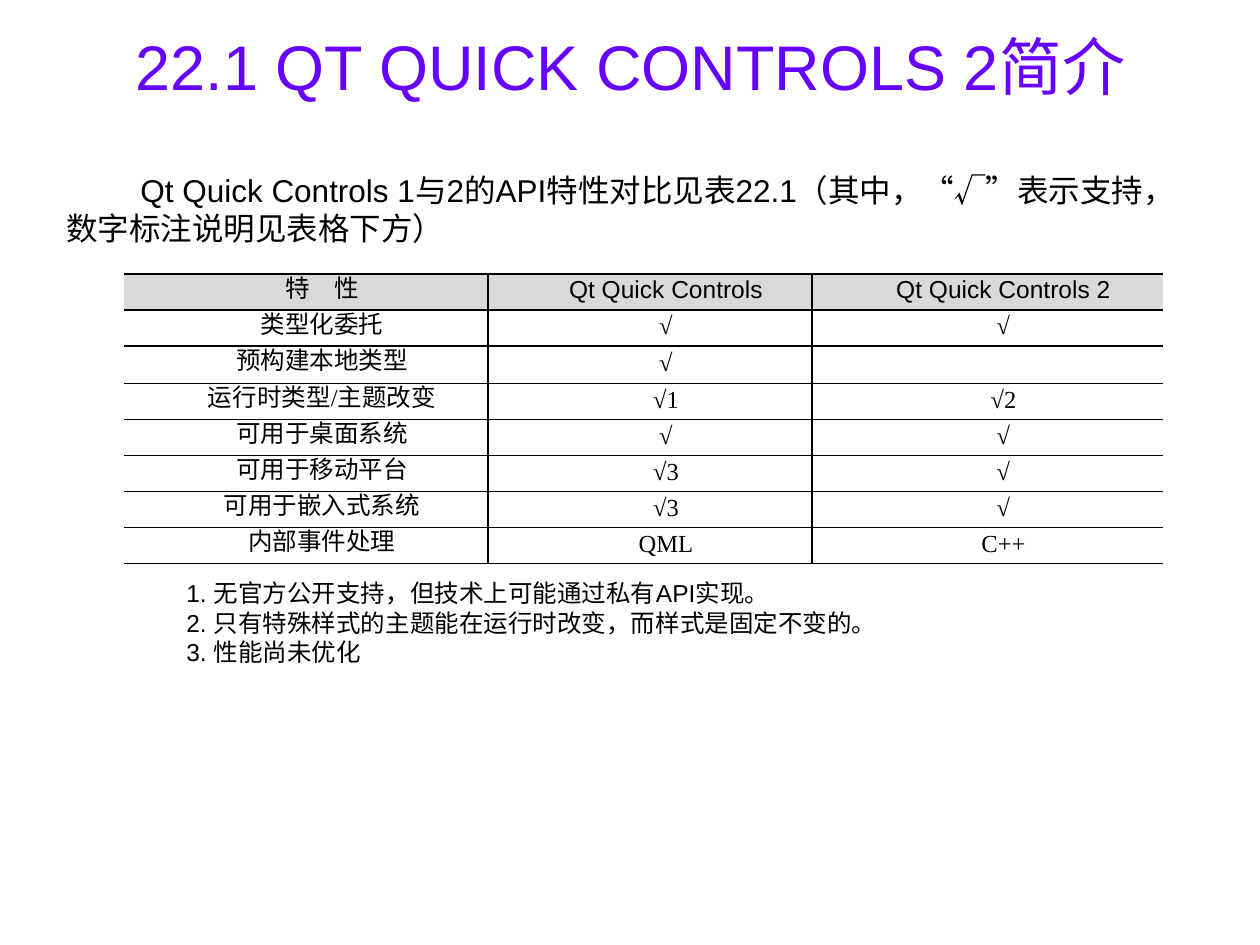
from dataclasses import dataclass

import pptx
import pptx.dml.color
import pptx.enum.lang
import pptx.enum.text
import pptx.oxml
import pptx.oxml.ns
import pptx.util
from lxml import etree

PX_PER_INCH = 126


def px(n: int) -> pptx.util.Emu:
    return pptx.util.Emu(round(n * 914400 / PX_PER_INCH))


@dataclass(frozen=True)
class Theme:
    black: str = "000000"
    title_color: str = "6600FF"
    header_fill: str = "D9D9D9"
    sans: str = "Arial"
    serif: str = "Times New Roman"
    title_size: int = 36
    body_size: int = 18
    small_size: int = 14
    title_outline: float = 0.71
    border: float = 1


@dataclass(frozen=True)
class Box:
    left: int
    top: int
    width: int
    height: int

    def emu(self) -> tuple:
        return px(self.left), px(self.top), px(self.width), px(self.height)


@dataclass(frozen=True)
class Feature:
    name: str
    controls_1: str
    controls_2: str


THEME = Theme()
TITLE = "22.1 QT QUICK CONTROLS 2简介"
INTRO = "Qt Quick Controls 1与2的API特性对比见表22.1（其中，“√”表示支持，数字标注说明见表格下方）"
FEATURES = [
    Feature("特　性", "Qt Quick Controls", "Qt Quick Controls 2"),
    Feature("类型化委托", "√", "√"),
    Feature("预构建本地类型", "√", ""),
    Feature("运行时类型/主题改变", "√1", "√2"),
    Feature("可用于桌面系统", "√", "√"),
    Feature("可用于移动平台", "√3", "√"),
    Feature("可用于嵌入式系统", "√3", "√"),
    Feature("内部事件处理", "QML", "C++"),
]
NOTES = [
    "1. 无官方公开支持，但技术上可能通过私有API实现。",
    "2. 只有特殊样式的主题能在运行时改变，而样式是固定不变的。",
    "3. 性能尚未优化",
]
COLUMN_WIDTHS = [364, 324, 351]
ROW_HEIGHT = 36


def add_line(parent, tag: str, width: float, color: str | None) -> etree.ElementBase:
    ln = etree.SubElement(parent, pptx.oxml.ns.qn(tag), w=str(pptx.util.Pt(width)))
    if color is None:
        etree.SubElement(ln, pptx.oxml.ns.qn("a:noFill"))
    else:
        fill = etree.SubElement(ln, pptx.oxml.ns.qn("a:solidFill"))
        etree.SubElement(fill, pptx.oxml.ns.qn("a:srgbClr"), val=color)
    return ln


def format_runs(p, size: int, font: str, color: str = THEME.black) -> None:
    for r in p.runs:
        r.font.size = pptx.util.Pt(size)
        r.font.name = font
        r.font.color.rgb = pptx.dml.color.RGBColor.from_string(color)
        r.font.language_id = pptx.enum.lang.MSO_LANGUAGE_ID.SIMPLIFIED_CHINESE


def set_first_line_indent(p, indent: int) -> None:
    pPr = p._p.get_or_add_pPr()
    pPr.set("marL", "0")
    pPr.set("indent", str(px(indent)))


def add_title(s, box: Box) -> None:
    sp = s.shapes.title
    sp.left, sp.top, sp.width, sp.height = box.emu()
    tf = sp.text_frame
    tf.text = TITLE
    tf.vertical_anchor = pptx.enum.text.MSO_ANCHOR.MIDDLE
    p = tf.paragraphs[0]
    p.alignment = pptx.enum.text.PP_ALIGN.CENTER
    format_runs(p, THEME.title_size, THEME.sans, THEME.title_color)
    rPr = p.runs[0].font._element
    rPr.insert(0, add_line(rPr, "a:ln", THEME.title_outline, THEME.title_color))


def add_text(s, box: Box, lines: list[str], size: int, indent: int = 0) -> None:
    tf = s.shapes.add_textbox(*box.emu()).text_frame
    tf.word_wrap = True
    tf.text = "\n".join(lines)
    for p in tf.paragraphs:
        set_first_line_indent(p, indent)
        format_runs(p, size, THEME.sans)


def format_cell(cell, text: str, header: bool, first: bool, last: bool) -> None:
    cell.margin_left = cell.margin_right = px(9)
    cell.margin_top = cell.margin_bottom = 0
    cell.vertical_anchor = pptx.enum.text.MSO_ANCHOR.MIDDLE
    tcPr = cell._tc.get_or_add_tcPr()
    for side, open_side in (("L", first), ("R", last), ("T", False), ("B", False)):
        add_line(tcPr, f"a:ln{side}", THEME.border, None if open_side else THEME.black)
    if header:
        cell.fill.solid()
        cell.fill.fore_color.rgb = pptx.dml.color.RGBColor.from_string(THEME.header_fill)
    else:
        cell.fill.background()
    cell.text_frame.text = text
    p = cell.text_frame.paragraphs[0]
    p.alignment = pptx.enum.text.PP_ALIGN.CENTER
    p.line_spacing = pptx.util.Pt(THEME.small_size)
    set_first_line_indent(p, 32)
    format_runs(p, THEME.small_size, THEME.sans if header else THEME.serif)


def add_feature_table(s, left: int, top: int) -> None:
    box = Box(left, top, sum(COLUMN_WIDTHS), ROW_HEIGHT * len(FEATURES))
    table = s.shapes.add_table(len(FEATURES), len(COLUMN_WIDTHS), *box.emu()).table
    table.first_row = table.horz_banding = False
    for column, width in zip(table.columns, COLUMN_WIDTHS):
        column.width = px(width)
    for i, feature in enumerate(FEATURES):
        table.rows[i].height = px(ROW_HEIGHT)
        texts = (feature.name, feature.controls_1, feature.controls_2)
        for j, text in enumerate(texts):
            format_cell(table.cell(i, j), text, i == 0, j == 0, j == len(texts) - 1)


def main() -> None:
    prs = pptx.Presentation()
    prs.slide_width, prs.slide_height = px(1260), px(945)
    s = prs.slides.add_slide(prs.slide_layouts[5])
    add_title(s, Box(42, 6, 1177, 118))
    add_text(s, Box(54, 165, 1160, 127), [INTRO], THEME.body_size, indent=74)
    add_feature_table(s, 124, 274)
    add_text(s, Box(174, 572, 1022, 131), NOTES, THEME.small_size)
    prs.save("out.pptx")


if __name__ == "__main__":
    main()
